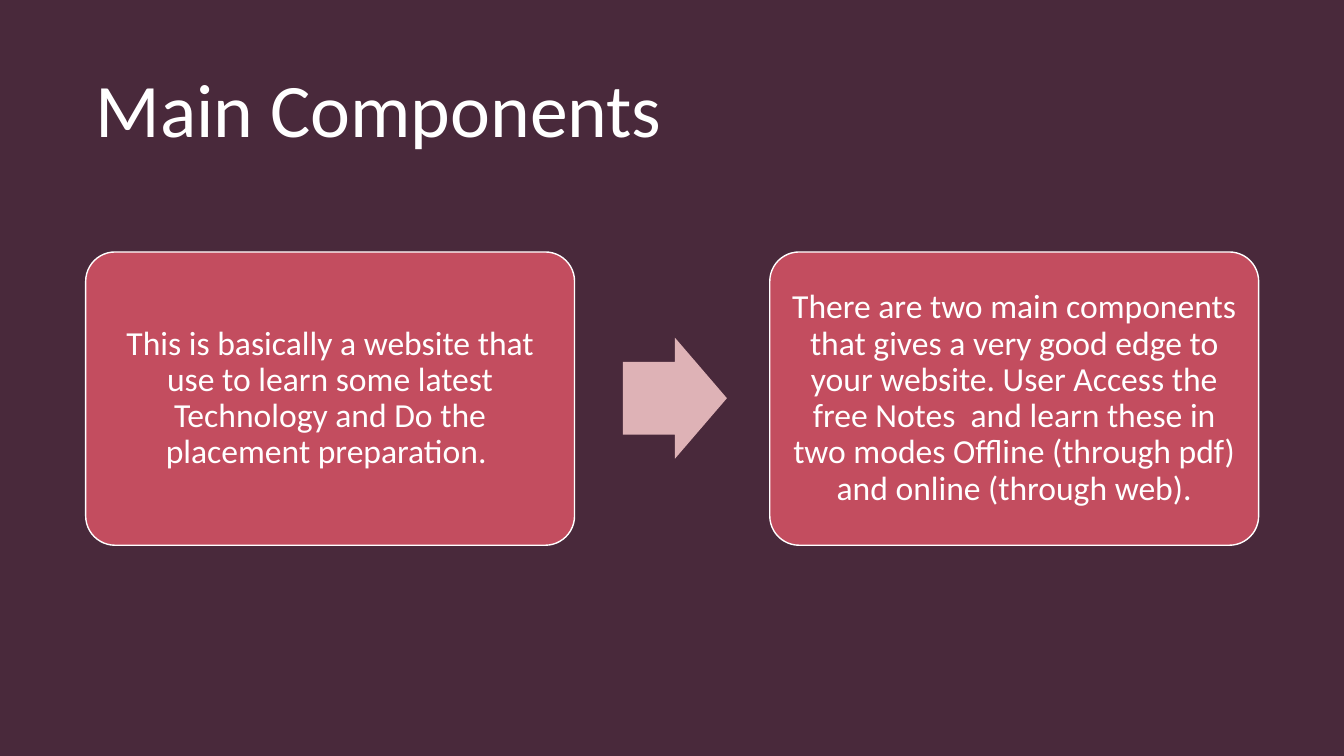
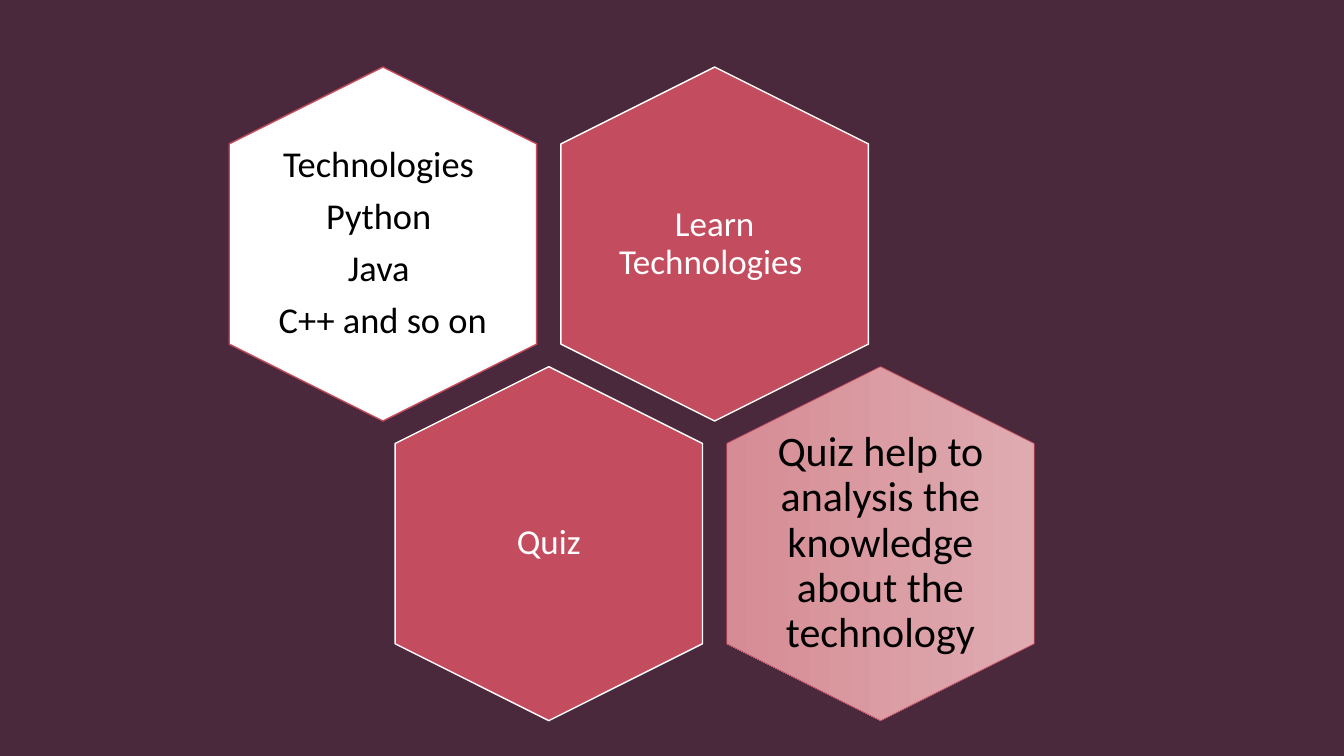
from lxml import etree
from pptx import Presentation
from pptx import util as u
from pptx.dml.color import RGBColor
from pptx.enum import shapes, text
from pptx.oxml.ns import qn

FONT = "Calibri"
WHITE, BLACK = "FFFFFF", "000000"
BASE, PLUM, ROSE, PINK = "301B27", "4C2B3E", "C34D5F", "DEB2B6"
BLUSH = ("DFABB1", "D68C94")
TITLE_ONLY, BLANK = 5, 6
SHAPE = shapes.MSO_SHAPE
INSET = 0.25


def colour(value):
    return RGBColor.from_string(value)


def set_values(target, values):
    for name, value in values.items():
        setattr(target, name, value)


def place(left, top, width, height):
    return [u.Cm(length) for length in (left, top, width, height)]


class Deck:
    """Holds the shared style and the slide being built."""

    def __init__(self):
        self.deck = Presentation()
        set_values(self.deck, {"slide_width": u.Cm(33.87), "slide_height": u.Cm(19.05)})
        self.page = None
        fill = self.deck.slide_master.background.fill
        fill.solid()
        fill.fore_color.rgb = colour(BASE)

    def new_page(self, layout):
        self.page = self.deck.slides.add_slide(self.deck.slide_layouts[layout])
        if len(self.deck.slides) == 1:
            self.veil_master()

    def veil_master(self):
        """Lay a translucent plum sheet on the master, behind everything."""
        veil = self.page.shapes.add_shape(
            SHAPE.RECTANGLE, 0, 0, self.deck.slide_width, self.deck.slide_height)
        self.paint(veil, PLUM)
        tint = veil.element.spPr.find(".//" + qn("a:srgbClr"))
        etree.SubElement(tint, qn("a:alpha")).set("val", "90000")
        self.deck.slide_master.shapes.element.insert(2, veil.element)

    def paint(self, shape, fill, line=None, weight=1):
        """Fill with one colour, or with a gradient when given a pair."""
        shape.shadow.inherit = False
        if isinstance(fill, tuple):
            shape.fill.gradient()
            shape.fill.gradient_angle = 270
            for stop, value in zip(shape.fill.gradient_stops, fill):
                stop.color.rgb = colour(value)
        else:
            shape.fill.solid()
            shape.fill.fore_color.rgb = colour(fill)
        if line:
            shape.line.color.rgb = colour(line)
            shape.line.width = u.Pt(weight)
        else:
            shape.line.fill.background()

    def set_text(self, shape, lines, size, ink=WHITE, inset=INSET,
                 align=text.PP_ALIGN.CENTER, after=0.35):
        """Set the text; after is the paragraph gap as a share of the size."""
        frame = shape.text_frame
        set_values(frame, {"word_wrap": True, "auto_size": text.MSO_AUTO_SIZE.NONE,
                           "vertical_anchor": text.MSO_ANCHOR.MIDDLE})
        set_values(frame, {f"margin_{side}": u.Cm(inset)
                           for side in ("left", "top", "right", "bottom")})
        frame.text = "\n".join(lines)
        for para in frame.paragraphs:
            set_values(para, {"alignment": align, "line_spacing": 0.9,
                              "space_before": u.Pt(0), "space_after": u.Pt(size * after)})
            for span in para.runs:
                set_values(span.font, {"name": FONT, "size": u.Pt(size)})
                span.font.color.rgb = colour(ink)

    def title(self, words):
        box = self.page.shapes.title
        set_values(box, dict(zip(("left", "top", "width", "height"),
                                 place(2.16, 1.02, 29.54, 3.68))))
        self.set_text(box, [words], 54, align=text.PP_ALIGN.LEFT, after=0)

    def card(self, left, words):
        box = self.page.shapes.add_shape(
            SHAPE.ROUNDED_RECTANGLE, *place(left, 6.35, 12.32, 7.39))
        box.adjustments[0] = 0.1
        self.paint(box, ROSE, WHITE)
        self.set_text(box, [words], 24)

    def arrow(self, left, top, width, height):
        arrow = self.page.shapes.add_shape(
            SHAPE.RIGHT_ARROW, *place(left, top, width, height))
        arrow.adjustments[0] = 0.6
        self.paint(arrow, PINK)

    def hexagon(self, centre_x, centre_y, lines, size, fill, line, weight=1,
                ink=WHITE, inset=INSET):
        """Draw a hexagon standing on its point, with upright text over it."""
        def centred(width, height):
            return place(centre_x - width / 2, centre_y - height / 2, width, height)

        cell = self.page.shapes.add_shape(SHAPE.HEXAGON, *centred(8.92, 7.75))
        cell.rotation = 90
        self.paint(cell, fill, line, weight)
        label = self.page.shapes.add_textbox(*centred(5.33, 6.12))
        self.set_text(label, lines, size, ink, inset)


def main():
    show = Deck()

    show.new_page(TITLE_ONLY)
    show.title("Main Components")
    show.card(2.16, "This is basically a website that use to learn some latest "
                    "Technology and Do the placement preparation. ")
    show.arrow(15.7, 8.51, 2.62, 3.05)
    show.card(19.4, "There are two main components that gives a very good edge to "
                    "your website. User Access the free Notes  and learn these in "
                    "two modes Offline (through pdf) and online (through web).")

    show.new_page(BLANK)
    first_x, step_x = 9.65, 8.36
    upper_y, lower_y = 6.15, 13.7
    lower_x = first_x + step_x / 2
    topic = {"size": 25, "fill": ROSE, "line": WHITE}
    detail = {"line": ROSE, "ink": BLACK, "inset": 0}
    show.hexagon(first_x + step_x, upper_y, ["Learn Technologies "], **topic)
    show.hexagon(first_x, upper_y,
                 ["Technologies ", "Python ", "Java ", "C++ and so on "],
                 size=26, fill=WHITE, **detail)
    show.hexagon(lower_x, lower_y, ["Quiz"], **topic)
    show.hexagon(lower_x + step_x, lower_y,
                 ["Quiz help to analysis the knowledge about the technology"],
                 size=30, fill=BLUSH, weight=0.5, **detail)

    show.deck.save("out.pptx")


if __name__ == "__main__":
    main()
